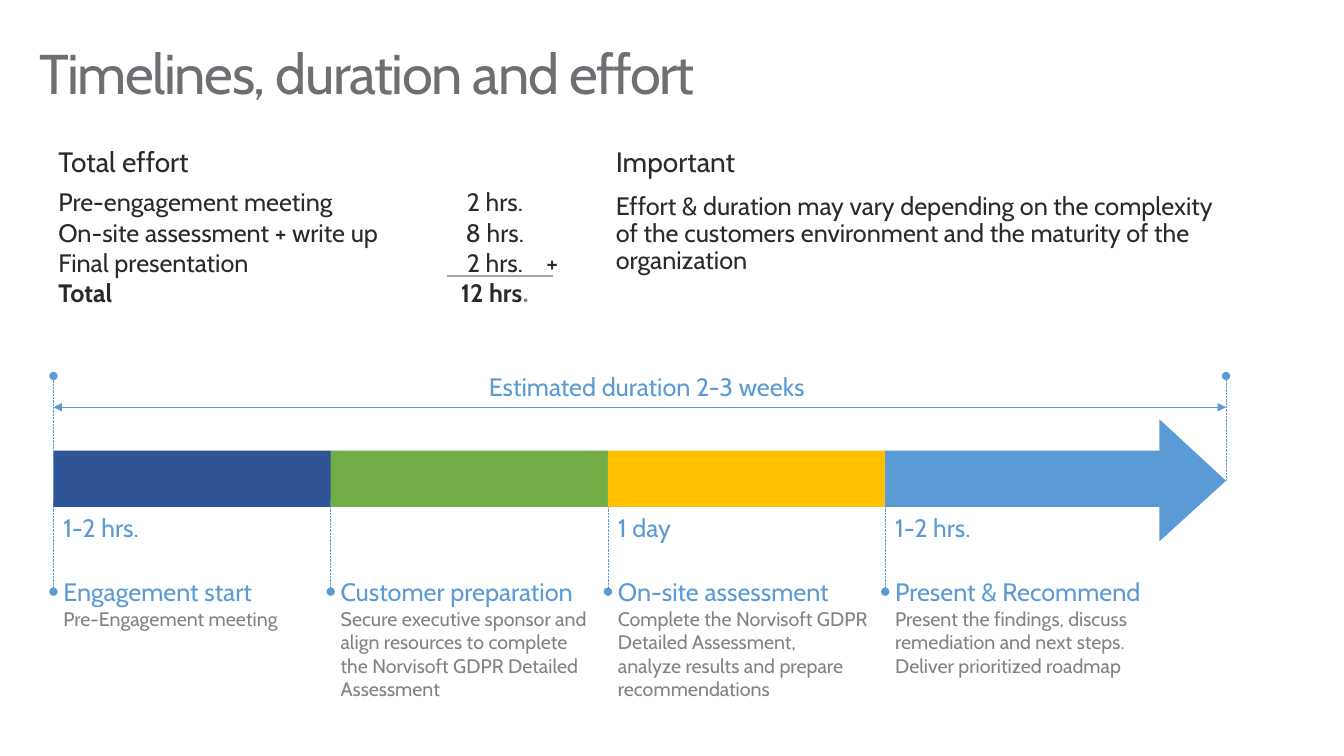
import pptx
import pptx.util
import pptx.dml.color
import pptx.enum.dml
import pptx.enum.shapes
import pptx.enum.text
import pptx.oxml
import pptx.oxml.ns
from lxml import etree

Inches = pptx.util.Inches
Pt = pptx.util.Pt
RGB = pptx.dml.color.RGBColor

GRAY = RGB(0x6E, 0x6E, 0x73)
SOFT = RGB(0x82, 0x82, 0x87)
DARK = RGB(0x2C, 0x29, 0x2A)
RULE = RGB(0xA6, 0xA6, 0xA6)
NAVY = RGB(0x2F, 0x55, 0x97)
GREEN = RGB(0x70, 0xAD, 0x47)
GOLD = RGB(0xFF, 0xC0, 0x00)
BLUE = RGB(0x5B, 0x9B, 0xD5)
FONT = "Cabin"

TITLE = "Timelines, duration and effort"
EFFORT = [
    "Pre-engagement meeting\t2 hrs.",
    "On-site assessment + write up\t8 hrs.",
    "Final presentation\t2 hrs.\t+",
]
NOTE = ("Effort & duration may vary depending on the complexity of the "
        "customers environment and the maturity of the organization")
SPAN = "Estimated duration 2-3 weeks"
STEPS = [
    (NAVY, "1-2 hrs.", "Engagement start", ["Pre-Engagement meeting"]),
    (GREEN, "", "Customer preparation",
     ["Secure executive sponsor and align resources to complete "
      "the Norvisoft GDPR Detailed Assessment"]),
    (GOLD, "1 day", "On-site assessment",
     ["Complete the Norvisoft GDPR Detailed Assessment,",
      "analyze results and prepare recommendations"]),
    (BLUE, "1-2 hrs.", "Present & Recommend",
     ["Present the findings, discuss remediation and next steps. "
      "Deliver prioritized roadmap"]),
]

LEFT, STEP, WIDE = 0.53, 2.75, 2.76
TOP, HIGH = 4.47, 0.56
TIP, MID = 12.16, 4.77
TABS = [(4.33, "ctr"), (4.84, "l")]

deck = pptx.Presentation()
deck.slide_width, deck.slide_height = Inches(13.33), Inches(7.5)
slide = deck.slides.add_slide(deck.slide_layouts[5])
shapes = slide.shapes


def write(para, text, size, color, bold=False, font=FONT):
    run = para.add_run()
    run.text = text
    run.font.name, run.font.size, run.font.bold = font, Pt(size), bold
    run.font.color.rgb = color
    return run


def box(x, y, w, h):
    frame = shapes.add_textbox(Inches(x), Inches(y), Inches(w), Inches(h)).text_frame
    frame.word_wrap = True
    return frame


def space(para, before, after, line=0.9):
    para.line_spacing = line
    para.space_before, para.space_after = Pt(before), Pt(after)


def set_tabs(para):
    stops = etree.SubElement(para._p.get_or_add_pPr(), pptx.oxml.ns.qn("a:tabLst"))
    for pos, side in TABS:
        etree.SubElement(stops, pptx.oxml.ns.qn("a:tab"), pos=str(Inches(pos)), algn=side)


def draw(x1, y1, x2, y2, color=BLUE, width=0.5, dots=False, head=None, tail=None):
    kind = pptx.enum.shapes.MSO_CONNECTOR.STRAIGHT
    line = shapes.add_connector(kind, Inches(x1), Inches(y1), Inches(x2), Inches(y2))
    line.line.color.rgb, line.line.width = color, Pt(width)
    if dots:
        line.line.dash_style = pptx.enum.dml.MSO_LINE.ROUND_DOT
    for tag, end in (("a:headEnd", head), ("a:tailEnd", tail)):
        if end:
            etree.SubElement(line.line._ln, pptx.oxml.ns.qn(tag), type=end)
    etree.SubElement(line._element.spPr, pptx.oxml.ns.qn("a:effectLst"))
    return line


def paint(shape, color):
    shape.shadow.inherit = False
    shape.fill.solid()
    shape.fill.fore_color.rgb = color
    shape.line.fill.background()


title = shapes.title
title.left, title.top = Inches(0.29), Inches(0.32)
title.width, title.height = Inches(12.75), Inches(0.88)
frame = title.text_frame
frame.auto_size = pptx.enum.text.MSO_AUTO_SIZE.NONE
frame.vertical_anchor = pptx.enum.text.MSO_ANCHOR.MIDDLE
para = frame.paragraphs[0]
para.alignment = pptx.enum.text.PP_ALIGN.LEFT
para.line_spacing = 0.9
write(para, TITLE, 40, GRAY)._r.get_or_add_rPr().set("spc", "-100")

frame = box(0.48, 1.42, 5.28, 1.7)
para = frame.paragraphs[0]
space(para, 0, 6)
write(para, "Total effort", 20, DARK)
for text in EFFORT:
    para = frame.add_paragraph()
    set_tabs(para)
    write(para, text, 18, DARK)
para = frame.add_paragraph()
set_tabs(para)
write(para, "Total\t12 hrs", 18, DARK, True)
write(para, ".", 18, SOFT, True, "Calibri")
draw(4.43, 2.74, 5.48, 2.74, RULE, 1)

frame = box(6.01, 1.42, 6.13, 1.38)
para = frame.paragraphs[0]
space(para, 0, 6)
write(para, "Important", 20, DARK)
para = frame.add_paragraph()
space(para, 5, 6)
write(para, NOTE, 18, DARK)

bars = []
for i, (color, time, name, lines) in enumerate(STEPS):
    x = LEFT + i * STEP
    draw(x, 4.96, x, 5.87, dots=True, tail="oval")
    bar = shapes.add_shape(pptx.enum.shapes.MSO_SHAPE.RECTANGLE, Inches(x),
                           Inches(TOP), Inches(WIDE), Inches(HIGH))
    paint(bar, color)
    bars.append(bar)
    if time:
        write(box(x, 5.03, 1.04, 0.4).paragraphs[0], time, 18, BLUE)
    frame = box(x, 5.67, WIDE, 1.32)
    write(frame.paragraphs[0], name, 18, BLUE)
    for text in lines:
        write(frame.add_paragraph(), text, 14, SOFT)

path = shapes.build_freeform(Inches(TIP), Inches(MID))
path.add_line_segments([(Inches(11.5), Inches(4.16)), (Inches(11.5), Inches(5.37))])
paint(path.convert_to_shape(), BLUE)

write(box(4.75, 3.63, 3.49, 0.4).paragraphs[0], SPAN, 18, BLUE)
start = draw(LEFT, MID, LEFT, 3.73, dots=True, tail="oval")
start.begin_connect(bars[0], 1)
draw(TIP, MID, TIP, 3.73, dots=True, tail="oval")
draw(LEFT, 4.04, TIP, 4.04, head="triangle", tail="triangle")

deck.save("out.pptx")
